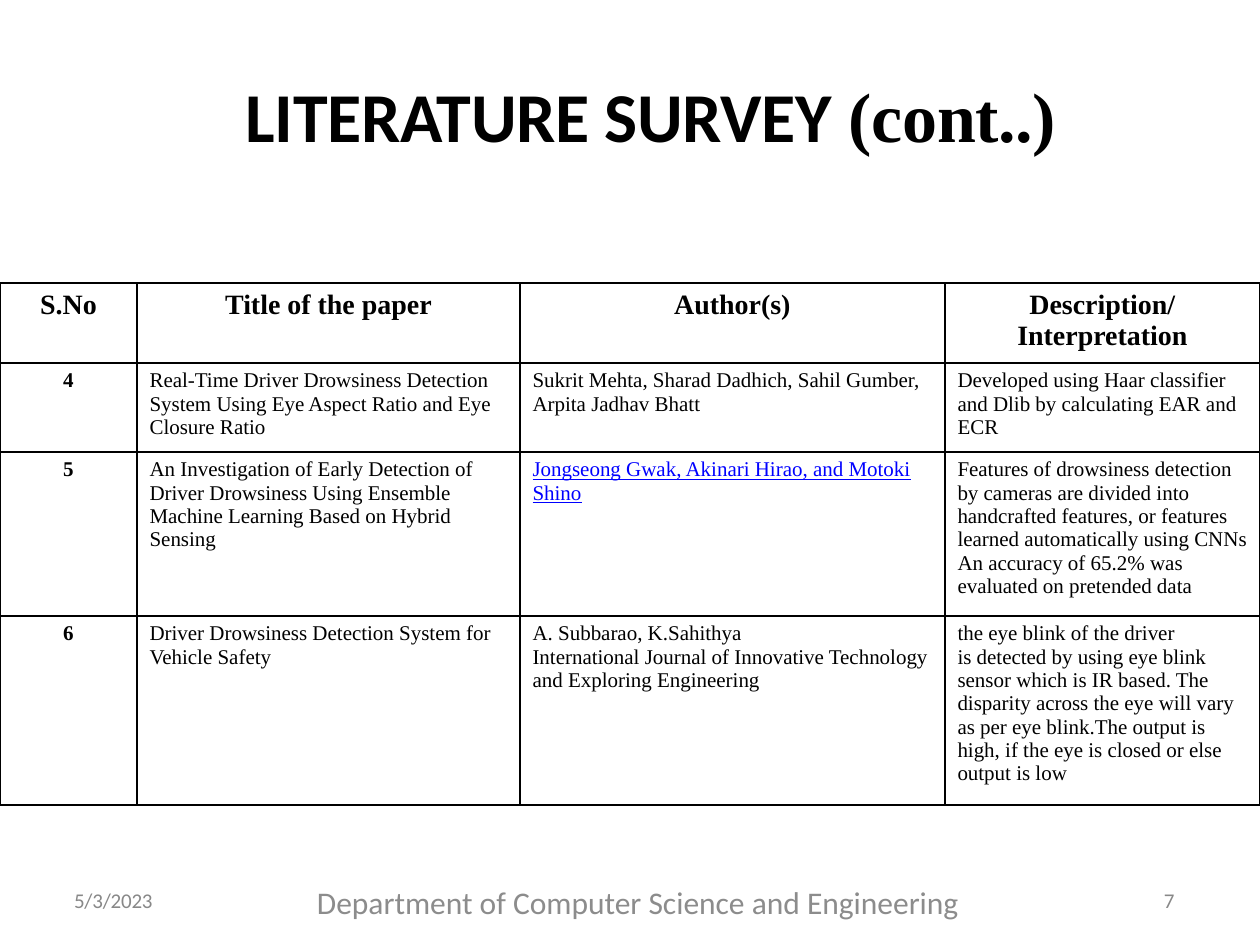
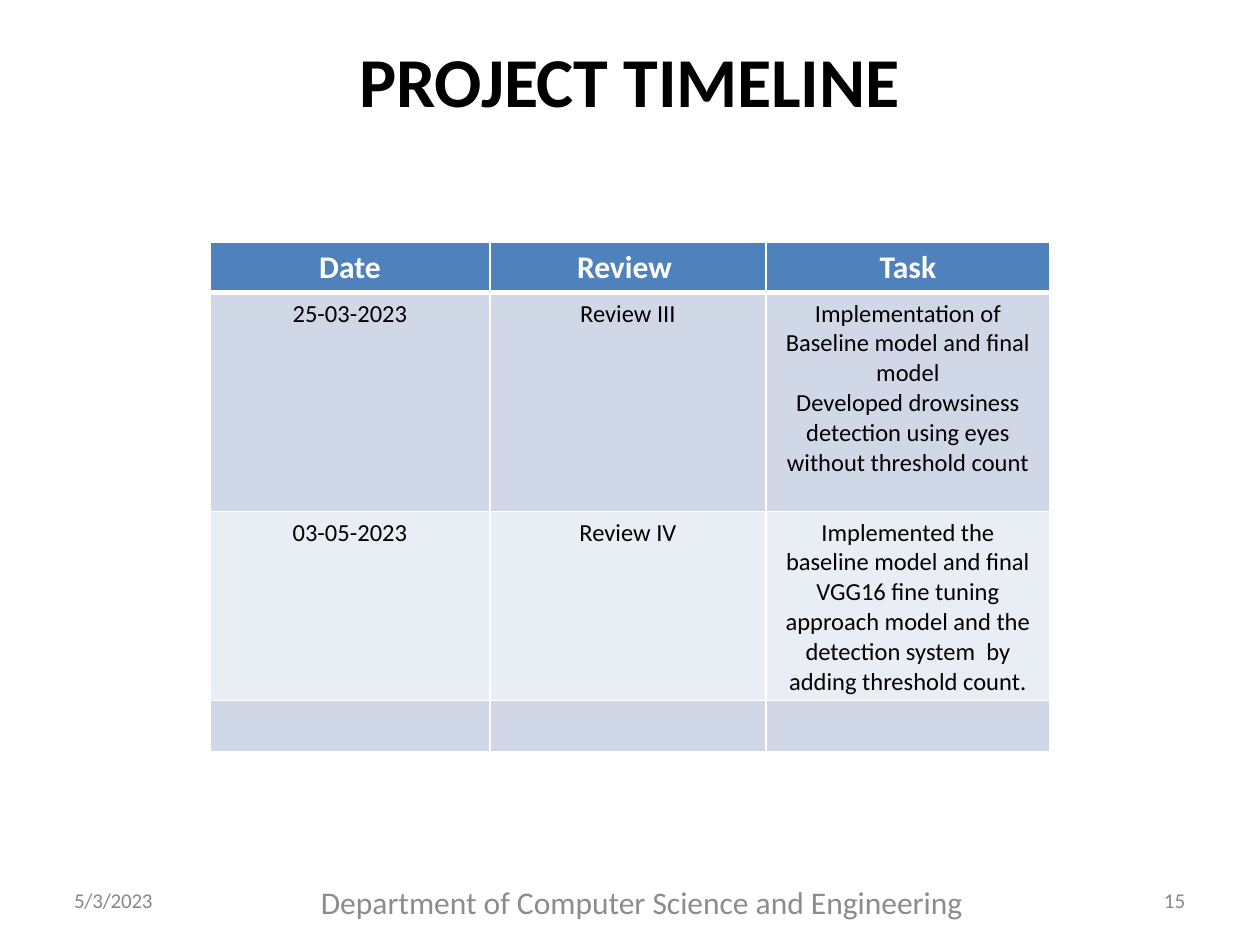
from dataclasses import dataclass

from lxml import etree
from pptx import Presentation
from pptx import util as u
from pptx.dml.color import RGBColor
from pptx.enum import text
from pptx.oxml import ns

EMU_PER_PX = 914400 / 126
CENTER, LEFT = text.PP_ALIGN.CENTER, text.PP_ALIGN.LEFT


@dataclass(frozen=True)
class Theme:
    """Fonts, colours and type sizes shared by the slides."""
    sans: str = "Calibri"
    serif: str = "Times New Roman"
    ink: str = "000000"
    white: str = "FFFFFF"
    link: str = "0000FF"
    muted: str = "888888"
    department: str = "8C8C8C"
    header: str = "4F81BD"
    bands: tuple = ("D0D8E8", "E9EDF4")
    title_size: int = 40
    footer_size: int = 18
    head_size: int = 16
    body_size: int = 14
    small_size: int = 12


T = Theme()


def px(n):
    """Turn pixels into EMU."""
    return u.Emu(round(n * EMU_PER_PX))


def add_run(p, words, size=T.small_size, font=T.sans, color=T.ink,
            bold=False, underline=False, spacing=0):
    """Add one formatted run to a paragraph; spacing is in points."""
    r = p.add_run()
    r.text = words
    f = r.font
    f.size, f.name, f.bold = u.Pt(size), font, bold
    f.underline = underline or None
    f.color.rgb = RGBColor.from_string(color)
    if spacing:
        r._r.get_or_add_rPr().set("spc", str(round(spacing * 100)))


def write(tf, words, align=LEFT, **fmt):
    """Write each line of the text as one paragraph."""
    for i, line in enumerate(words.split("\n")):
        p = tf.paragraphs[0] if i == 0 else tf.add_paragraph()
        p.alignment = align
        add_run(p, line, **fmt)


def set_borders(cell, color, **widths):
    """Draw cell borders, widths in points by side: L, R, T, B."""
    tc_pr = cell._tc.get_or_add_tcPr()
    for side in "LRTB":
        ln = etree.SubElement(tc_pr, ns.qn("a:ln" + side),
                              w=str(u.Pt(widths.get(side, 1))))
        fill = etree.SubElement(ln, ns.qn("a:solidFill"))
        etree.SubElement(fill, ns.qn("a:srgbClr"), val=color)


class Deck:
    """Holds the presentation and the current slide."""

    def __init__(self):
        """Start a 10 by 7.5 inch presentation."""
        self.prs = Presentation()
        self.prs.slide_width, self.prs.slide_height = px(1260), px(945)

    def new_slide(self):
        """Add a blank slide and make it current."""
        self.s = self.prs.slides.add_slide(self.prs.slide_layouts[6])

    def box(self, x, y, w, h):
        """Add a text box without margins and return its frame."""
        tf = self.s.shapes.add_textbox(px(x), px(y), px(w), px(h)).text_frame
        tf.margin_left = tf.margin_right = tf.margin_top = tf.margin_bottom = 0
        tf.word_wrap = True
        return tf

    def title(self, x, y, w, *runs):
        """Add a bold title from (words, font, spacing) runs."""
        tf = self.box(x, y, w, 87)
        tf.margin_top = px(1)
        p = tf.paragraphs[0]
        p.alignment, p.space_before = CENTER, u.Pt(1)
        for words, font, spacing in runs:
            add_run(p, words, size=T.title_size, font=font, bold=True,
                    spacing=spacing)

    def footer(self, number, x, w):
        """Add date, page number, and the department between x and x + w."""
        for left, width, words, spacing in ((74, 104, "5/3/2023", -0.1),
                                            (1164, 27, number, 0)):
            tf = self.box(left, 891, width, 25)
            write(tf, words, color=T.muted, spacing=spacing)
            tf.paragraphs[0].line_spacing = u.Pt(12.4)
        write(self.box(x, 883, w, 77),
              "Department of Computer Science and Engineering",
              CENTER, size=T.footer_size, color=T.department)

    def table(self, x, y, cols, rows, data, style):
        """Add a table; style(row, col) gives text format, fill and borders."""
        frame = self.s.shapes.add_table(len(rows), len(cols), px(x), px(y),
                                        px(sum(cols)), px(sum(rows)))
        tbl = frame.table
        tbl.first_row = tbl.horz_banding = False
        for col, w in zip(tbl.columns, cols):
            col.width = px(w)
        for row, h in zip(tbl.rows, rows):
            row.height = px(h)
        for i, line in enumerate(data):
            for j, words in enumerate(line):
                cell = tbl.cell(i, j)
                fmt, fill, borders = style(i, j)
                set_borders(cell, **borders)
                if fill:
                    cell.fill.solid()
                    cell.fill.fore_color.rgb = RGBColor.from_string(fill)
                else:
                    cell.fill.background()
                if words:
                    write(cell.text_frame, words, **fmt)


def survey_style(i, j):
    """Plain grid: bold centred headings and numbers, one linked-looking cell."""
    strong = i == 0 or j == 0
    linked = (i, j) == (2, 2)
    fmt = dict(font=T.serif, size=T.small_size if i else T.head_size,
               bold=strong, align=CENTER if strong else LEFT,
               color=T.link if linked else T.ink, underline=linked)
    return fmt, None, dict(color=T.ink)


def timeline_style(i, j):
    """Blue heading row over banded rows with white rules."""
    if i == 0:
        fmt = dict(size=T.footer_size, color=T.white, bold=True, align=CENTER)
        return fmt, T.header, dict(color=T.white, B=3)
    return (dict(size=T.body_size, align=CENTER), T.bands[(i - 1) % 2],
            dict(color=T.white, T=3 if i == 1 else 1))


SURVEY = [
    ("S.No", "Title of the paper", "Author(s)", "Description/\nInterpretation"),
    ("4",
     "Real-Time Driver Drowsiness Detection System Using Eye Aspect Ratio "
     "and Eye Closure Ratio ",
     "Sukrit Mehta, Sharad Dadhich, Sahil Gumber, Arpita Jadhav Bhatt",
     "Developed using Haar classifier and Dlib by calculating EAR and ECR"),
    ("5",
     "An Investigation of Early Detection of Driver Drowsiness Using Ensemble "
     "Machine Learning Based on Hybrid Sensing",
     "Jongseong Gwak, Akinari Hirao, and Motoki Shino",
     "Features of drowsiness detection by cameras are divided into handcrafted "
     "features, or features learned automatically using CNNs\n"
     "An accuracy of 65.2% was evaluated on pretended data"),
    ("6",
     "Driver Drowsiness Detection System for\nVehicle Safety",
     "A. Subbarao, K.Sahithya\n"
     "International Journal of Innovative Technology and Exploring Engineering",
     "the eye blink of the driver\n"
     "is detected by using eye blink sensor which is IR based. The\n"
     "disparity across the eye will vary as per eye blink.The output is\n"
     "high, if the eye is closed or else output is low"),
]

TIMELINE = [
    ("Date", "Review ", "Task"),
    ("25-03-2023", "Review III",
     "Implementation of Baseline model and final model\n"
     "Developed drowsiness detection using eyes without threshold count"),
    ("03-05-2023", "Review IV",
     "Implemented the baseline model and final VGG16 fine tuning approach "
     "model and the detection system  by adding threshold count."),
    ("", "", ""),
]

deck = Deck()

deck.new_slide()
deck.footer("7", 293, 690)
deck.title(21, 72, 1260, ("LITERATURE SURVEY", T.sans, -0.2),
           (" (cont..)", T.serif, -0.2))
deck.table(0, 283, (137, 383, 425, 315), (80, 89, 164, 189), SURVEY,
           survey_style)

deck.new_slide()
deck.title(356, 37, 547, ("PROJECT ", T.sans, -0.2), ("TIMELINE", T.sans, -0.1))
deck.footer("15", 311, 662)
deck.table(210, 242, (280, 276, 284), (50, 219, 189, 51), TIMELINE,
           timeline_style)

deck.prs.save("out.pptx")
